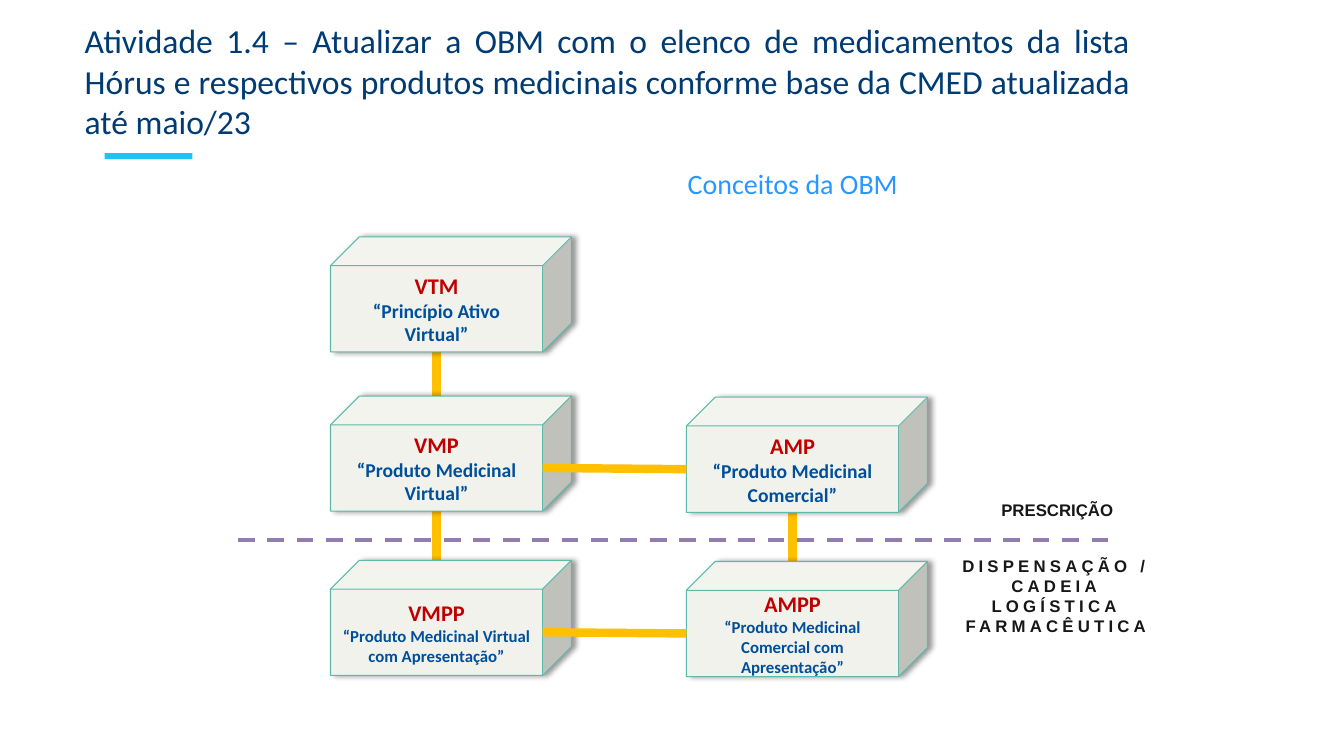
from dataclasses import dataclass

from lxml import etree
from pptx import Presentation
from pptx.dml.color import RGBColor
from pptx.enum.dml import MSO_LINE
from pptx.enum.shapes import MSO_CONNECTOR, MSO_SHAPE
from pptx.enum.text import MSO_ANCHOR, MSO_AUTO_SIZE, PP_ALIGN
from pptx.oxml.ns import qn
from pptx.util import Cm, Pt

STRAIGHT = MSO_CONNECTOR.STRAIGHT
CUBE, RECTANGLE = MSO_SHAPE.CUBE, MSO_SHAPE.RECTANGLE
TOP, MIDDLE = MSO_ANCHOR.TOP, MSO_ANCHOR.MIDDLE
CENTER, JUSTIFY = PP_ALIGN.CENTER, PP_ALIGN.JUSTIFY
DASH = MSO_LINE.DASH
NO_AUTOFIT = MSO_AUTO_SIZE.NONE

COLORS = {
    "white": "FFFFFF", "accent": "1FC2F2", "title": "003B73",
    "subtitle": "2997FF", "face": "F2F2EC", "edge": "5DBAAB",
    "code": "C00000", "concept": "004F9A", "link": "FFC000",
    "divider": "927CB0", "label": "181717", "shadow": "000000",
}
CUBE_WIDTH, CUBE_HEIGHT = 6.07, 2.9
DEPTH = CUBE_HEIGHT / 4
FRONT_WIDTH = CUBE_WIDTH - DEPTH
VIRTUAL_LEFT, COMMERCIAL_LEFT = 8.33, 17.3


@dataclass(frozen=True)
class Concept:
    code: str
    meaning: str
    left: float
    top: float
    size: int = 14

    @property
    def center(self) -> float:
        return self.left + FRONT_WIDTH / 2

    @property
    def middle(self) -> float:
        return self.top + (CUBE_HEIGHT + DEPTH) / 2


@dataclass(frozen=True)
class Label:
    text: str
    left: float
    top: float
    width: float
    height: float
    size: int
    font: str
    color: str
    bold: bool = False
    spacing: int = 0


VTM = Concept("VTM", "“Princípio Ativo Virtual”", VIRTUAL_LEFT, 5.97)
VMP = Concept("VMP", "“Produto Medicinal Virtual”", VIRTUAL_LEFT, 9.98)
VMPP = Concept("VMPP", "“Produto Medicinal Virtual com Apresentação”",
               VIRTUAL_LEFT, 14.12, 12)
AMP = Concept("AMP", "“Produto Medicinal Comercial”", COMMERCIAL_LEFT, 10.01)
AMPP = Concept("AMPP", "“Produto Medicinal Comercial com Apresentação”",
               COMMERCIAL_LEFT, 14.15, 12)
CONCEPTS = [VTM, VMP, VMPP, AMP, AMPP]
VERTICAL_LINKS = [(AMP, AMPP), (VTM, VMP), (VMP, VMPP)]
HORIZONTAL_LINKS = [(VMP, AMP), (VMPP, AMPP)]
LABELS = [
    Label("PRESCRIÇÃO", 24.64, 12.47, 4.01, 0.77, 12, "Arial", "label", True),
    Label("DISPENSAÇÃO / CADEIA LOGÍSTICA FARMACÊUTICA",
          23.75, 13.87, 5.72, 2.31, 12, "Arial", "label", True, 300),
    Label("Conceitos da OBM", 11.51, 4.06, 16.94, 1.11, 20, "Calibri", "subtitle"),
]
TITLE = ("Atividade 1.4 – Atualizar a OBM com o elenco de medicamentos da lista "
         "Hórus e respectivos produtos medicinais conforme base da CMED "
         "atualizada até maio/23")


def rgb(name: str) -> RGBColor:
    return RGBColor.from_string(COLORS[name])


def write_text(para, text: str, *, size: int, color: str, font: str = "Calibri",
               bold: bool = False, align=CENTER, spacing: int = 0) -> None:
    para.alignment = align
    span = para.add_run()
    span.text = text
    span.font.size = Pt(size)
    span.font.name = font
    span.font.bold = bold
    span.font.color.rgb = rgb(color)
    if spacing:
        span.font._element.set("spc", str(spacing))


def prepare_frame(frame, anchor=TOP) -> None:
    frame.word_wrap = True
    frame.auto_size = NO_AUTOFIT
    frame.vertical_anchor = anchor


def add_title(page) -> None:
    title = page.shapes.title
    title.left, title.top, title.width, title.height = (
        Cm(1.88), Cm(0.38), Cm(26.85), Cm(3.33))
    title.fill.solid()
    title.fill.fore_color.rgb = rgb("white")
    prepare_frame(title.text_frame)
    write_text(title.text_frame.paragraphs[0], TITLE, size=24, color="title",
               align=JUSTIFY)


def add_accent(page) -> None:
    bar = page.shapes.add_shape(RECTANGLE, Cm(2.64), Cm(3.86), Cm(2.21), Cm(0.15))
    bar.shadow.inherit = False
    bar.fill.solid()
    bar.fill.fore_color.rgb = rgb("accent")
    bar.line.fill.background()


def add_line(page, start: tuple[float, float], end: tuple[float, float],
             color: str = "link", width: float = 6, dash=None) -> None:
    line = page.shapes.add_connector(STRAIGHT, *map(Cm, start + end))
    line.line.color.rgb = rgb(color)
    line.line.width = Pt(width)
    if dash is not None:
        line.line.dash_style = dash
    etree.SubElement(line._element.spPr, qn("a:effectLst"))


def add_shadow(shape) -> None:
    shape.shadow.inherit = False
    effects = shape._element.spPr.find(qn("a:effectLst"))
    shadow = etree.SubElement(effects, qn("a:outerShdw"), blurRad=str(Pt(4)),
                              dist=str(Pt(3)), dir="0", algn="l", rotWithShape="0")
    tint = etree.SubElement(shadow, qn("a:srgbClr"), val=COLORS["shadow"])
    etree.SubElement(tint, qn("a:alpha"), val="40000")


def add_concept(page, concept: Concept) -> None:
    box = page.shapes.add_shape(CUBE, Cm(concept.left), Cm(concept.top),
                                Cm(CUBE_WIDTH), Cm(CUBE_HEIGHT))
    box.fill.solid()
    box.fill.fore_color.rgb = rgb("face")
    box.line.color.rgb = rgb("edge")
    box.line.width = Pt(0.75)
    add_shadow(box)
    frame = box.text_frame
    prepare_frame(frame, MIDDLE)
    write_text(frame.paragraphs[0], concept.code, size=16, color="code", bold=True)
    write_text(frame.add_paragraph(), concept.meaning, size=concept.size,
               color="concept", bold=True)


def add_label(page, label: Label) -> None:
    box = page.shapes.add_textbox(Cm(label.left), Cm(label.top),
                                  Cm(label.width), Cm(label.height))
    prepare_frame(box.text_frame)
    write_text(box.text_frame.paragraphs[0], label.text, size=label.size,
               color=label.color, font=label.font, bold=label.bold,
               spacing=label.spacing)


def main() -> None:
    deck = Presentation()
    deck.slide_width, deck.slide_height = Cm(33.87), Cm(19.05)
    page = deck.slides.add_slide(deck.slide_layouts[5])
    add_title(page)
    add_accent(page)
    for upper, lower in VERTICAL_LINKS:
        add_line(page, (upper.center, upper.top + CUBE_HEIGHT),
                 (lower.center, lower.top + DEPTH))
    for concept in CONCEPTS:
        add_concept(page, concept)
    add_line(page, (5.99, 13.61), (28.02, 13.61), "divider", 3, DASH)
    for virtual, commercial in HORIZONTAL_LINKS:
        add_line(page, (commercial.left, commercial.middle),
                 (virtual.left + FRONT_WIDTH, virtual.middle))
    for label in LABELS:
        add_label(page, label)
    deck.save("out.pptx")


if __name__ == "__main__":
    main()
